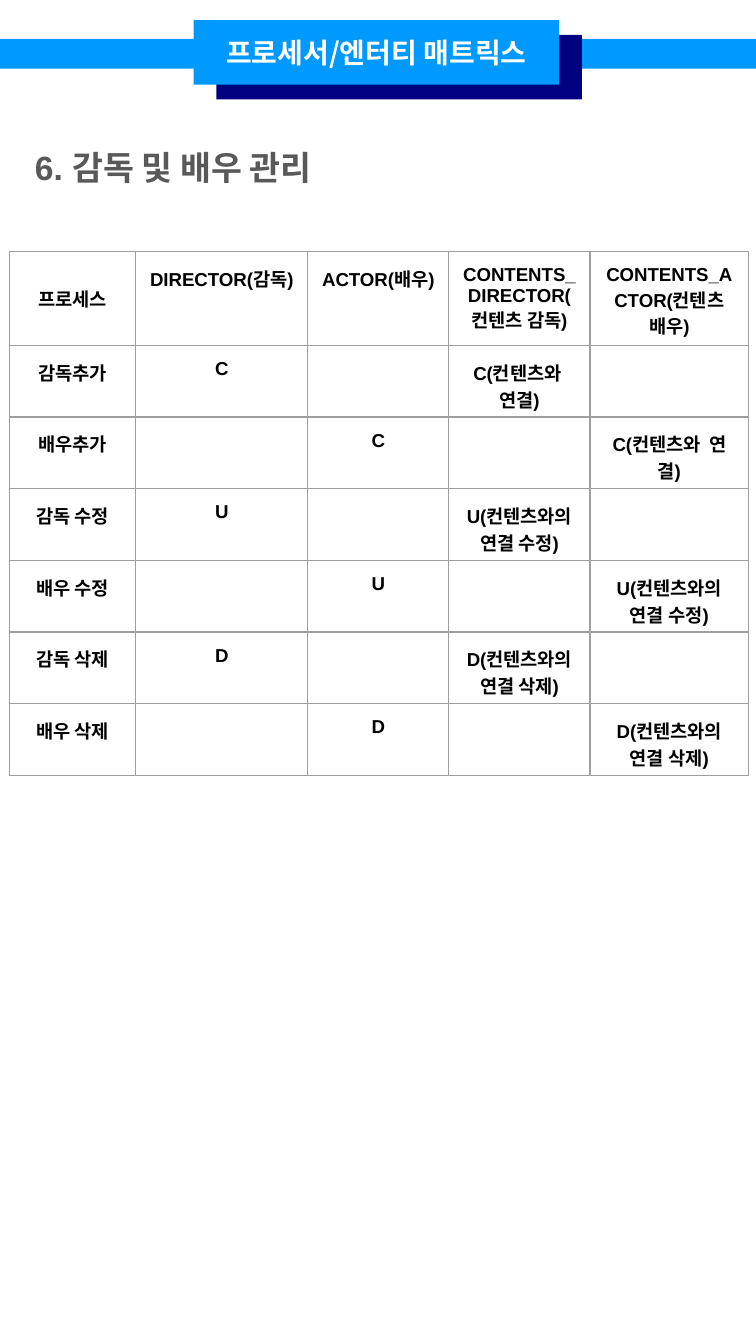
from lxml import etree
from pptx import Presentation
from pptx.dml.color import RGBColor
from pptx.enum.shapes import MSO_SHAPE
from pptx.enum.text import MSO_ANCHOR, MSO_AUTO_SIZE, PP_ALIGN
from pptx.oxml.ns import qn
from pptx.util import Inches, Pt

RECT = MSO_SHAPE.RECTANGLE
TOP, MIDDLE = MSO_ANCHOR.TOP, MSO_ANCHOR.MIDDLE
LEFT, CENTER = PP_ALIGN.LEFT, PP_ALIGN.CENTER
NO_FIT = MSO_AUTO_SIZE.NONE
TITLE_ONLY = 5

COLORS = {
    "blue": "0099FF",
    "navy": "000080",
    "white": "FFFFFF",
    "heading": "595959",
    "text": "000000",
    "border": "9E9E9E",
}
LATIN, KOREAN = "Arial", "Noto Sans CJK KR"

# Portrait 9:16 page
PAGE_HEIGHT = 10
PAGE_WIDTH = PAGE_HEIGHT * 9 / 16

COLUMN_WIDTHS = [0.94, 1.28, 1.05, 1.05, 1.18]
HEADER_HEIGHT = 0.7
CELL_SIZE = 10
HEADERS = ["프로세스", "DIRECTOR(감독)", "ACTOR(배우)",
           "CONTENTS_DIRECTOR(컨텐츠 감독)", "CONTENTS_ACTOR(컨텐츠 배우)"]
# Operation code, link note, process name for director and for actor
OPERATIONS = [
    ("C", "컨텐츠와  연결", "감독추가", "배우추가"),
    ("U", "컨텐츠와의 연결 수정", "감독 수정", "배우 수정"),
    ("D", "컨텐츠와의 연결 삭제", "감독 삭제", "배우 삭제"),
]


def add_text(frame, text, size, color, font=LATIN, align=CENTER):
    paragraph = frame.paragraphs[0]
    paragraph.alignment = align
    run = paragraph.add_run()
    run.text = text
    run.font.size = Pt(size)
    run.font.bold = True
    run.font.color.rgb = RGBColor.from_string(COLORS[color])
    run.font.name = font
    etree.SubElement(run.font._element, qn("a:ea"), typeface=KOREAN)


def set_margins(holder, horizontal, top, bottom):
    holder.margin_left = holder.margin_right = Inches(horizontal)
    holder.margin_top, holder.margin_bottom = Inches(top), Inches(bottom)


def add_bar(shapes, left, top, width, height, color):
    bar = shapes.add_shape(RECT, Inches(left), Inches(top),
                           Inches(width), Inches(height))
    bar.shadow.inherit = False
    bar.fill.solid()
    bar.fill.fore_color.rgb = RGBColor.from_string(COLORS[color])
    bar.line.fill.background()
    return bar


def add_banner(slide, left, top, width):
    plate_width, plate_height = 2.72, 0.48
    plate_left = left + 1.44
    add_bar(slide.shapes, left, top + 0.14, width, 0.22, "blue")
    # Label plate over its offset backing
    plates = slide.shapes.add_group_shape().shapes
    add_bar(plates, plate_left + 0.17, top + 0.11, plate_width, plate_height, "navy")
    label = add_bar(plates, plate_left, top, plate_width, plate_height, "blue")
    frame = label.text_frame
    frame.word_wrap = True
    frame.vertical_anchor = MIDDLE
    set_margins(frame, 0.08, 0.04, 0.04)
    add_text(frame, "프로세서/엔터티 매트릭스", 15, "white", KOREAN)


def add_heading(slide, left, top, width, height):
    heading = slide.shapes.title
    heading.left, heading.top = Inches(left), Inches(top)
    heading.width, heading.height = Inches(width), Inches(height)
    frame = heading.text_frame
    frame.word_wrap = True
    frame.auto_size = NO_FIT
    frame.vertical_anchor = TOP
    set_margins(frame, 0.1, 0.1, 0.1)
    add_text(frame, "6. 감독 및 배우 관리", 18, "heading", align=LEFT)


def add_borders(cell):
    properties = cell._tc.get_or_add_tcPr()
    for index, side in enumerate(("a:lnL", "a:lnR", "a:lnT", "a:lnB")):
        line = etree.Element(qn(side), w=str(Pt(0.75)))
        fill = etree.SubElement(line, qn("a:solidFill"))
        etree.SubElement(fill, qn("a:srgbClr"), val=COLORS["border"])
        properties.insert(index, line)


def fill_cell(cell, text, is_corner):
    cell.fill.background()
    add_borders(cell)
    # A slim lower margin keeps wrapped lines inside the row height
    set_margins(cell, 0.1, 0.1, 0.1 if is_corner else 0.03)
    cell.vertical_anchor = MIDDLE if is_corner else TOP
    if text:
        add_text(cell.text_frame, text, CELL_SIZE, "text")
    else:
        etree.SubElement(cell.text_frame.paragraphs[0]._p, qn("a:endParaRPr"),
                         sz=str(CELL_SIZE * 100))


def matrix_rows():
    rows = [HEADERS]
    for code, note, director, actor in OPERATIONS:
        link = f"{code}({note})"
        rows.append([director, code, "", link, ""])
        rows.append([actor, "", code, "", link])
    return rows


def add_matrix(slide, left, top, width, height):
    rows = matrix_rows()
    row_height = (height - HEADER_HEIGHT) / (len(rows) - 1)
    matrix = slide.shapes.add_table(len(rows), len(HEADERS), Inches(left), Inches(top),
                                    Inches(width), Inches(height)).table
    matrix.first_row = matrix.horz_banding = False
    for column, column_width in zip(matrix.columns, COLUMN_WIDTHS):
        column.width = Inches(column_width)
    for r, texts in enumerate(rows):
        matrix.rows[r].height = Inches(row_height if r else HEADER_HEIGHT)
        for c, text in enumerate(texts):
            fill_cell(matrix.cell(r, c), text, r == c == 0)


def main():
    prs = Presentation()
    prs.slide_width, prs.slide_height = Inches(PAGE_WIDTH), Inches(PAGE_HEIGHT)
    slide = prs.slides.add_slide(prs.slide_layouts[TITLE_ONLY])
    add_banner(slide, 0, 0.15, PAGE_WIDTH)
    add_heading(slide, 0.16, 0.99, 2.66, 0.4)
    add_matrix(slide, 0.07, 1.87, sum(COLUMN_WIDTHS), 3.9)
    prs.save("out.pptx")


if __name__ == "__main__":
    main()
